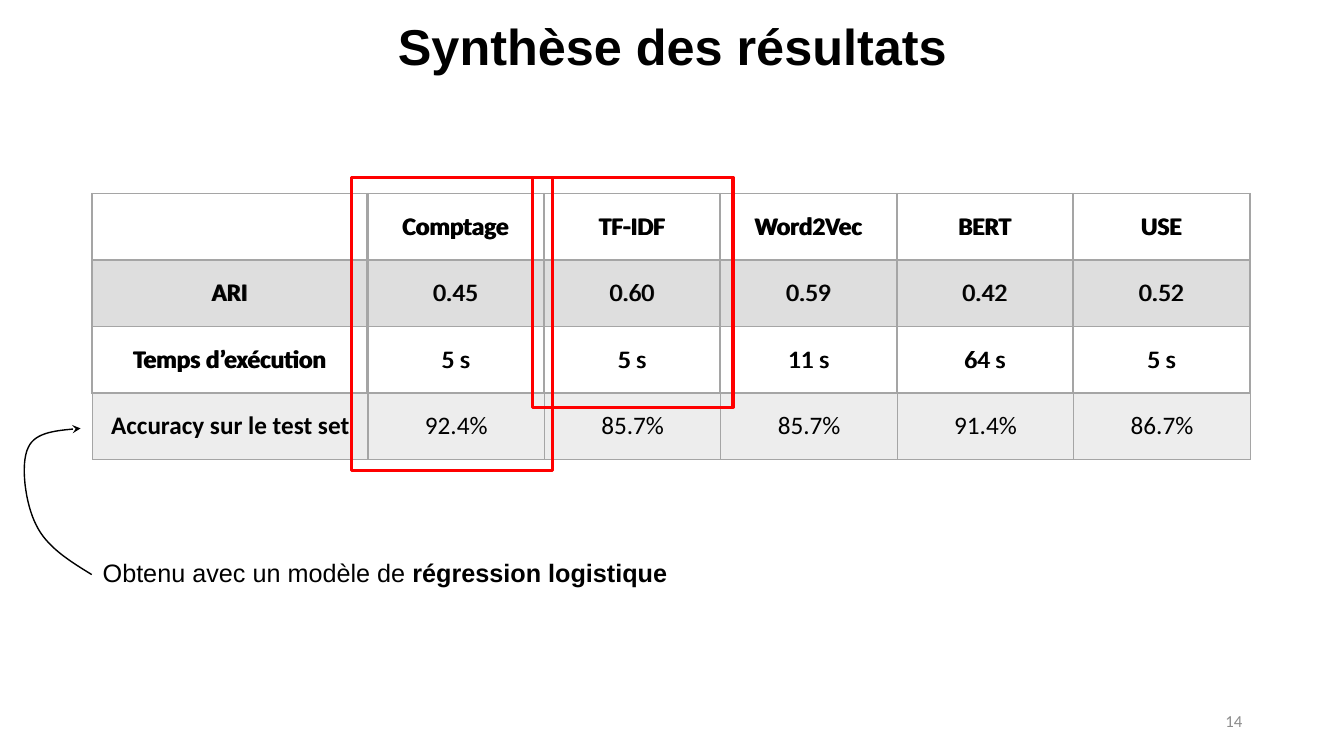
from dataclasses import dataclass

from lxml.etree import SubElement
from pptx import Presentation
from pptx.dml.color import RGBColor
from pptx.enum.shapes import MSO_SHAPE as Shape
from pptx.enum.text import MSO_ANCHOR as Anchor, PP_ALIGN as Align
from pptx.oxml.ns import qn
from pptx.util import Inches, Pt


@dataclass(frozen=True)
class Theme:
    ink: str = "000000"
    grid: str = "A5A5A5"
    accent: str = "FF0000"
    muted: str = "8C8C8C"
    heading_font: str = "Arial"
    table_font: str = "Calibri"
    title: int = 36
    body: int = 18
    small: int = 12


THEME = Theme()
RESULTS = [
    ["", "Comptage", "TF-IDF", "Word2Vec", "BERT", "USE"],
    ["ARI", "0.45", "0.60", "0.59", "0.42", "0.52"],
    ["Temps d’exécution", "5 s", "5 s", "11 s", "64 s", "5 s"],
    ["Accuracy sur le test set", "92.4%", "85.7%", "85.7%", "91.4%", "86.7%"],
]
COL_WIDTHS = [2.73] + [1.75] * 5
ROW_HEIGHT = 0.66
# Start point, then control, control, end for each curve
ARROW = [(0.91, 5.7), (0.68, 5.56), (0.46, 5.42), (0.36, 5.21),
         (0.25, 5), (0.2, 4.6), (0.28, 4.44),
         (0.35, 4.28), (0.58, 4.27), (0.8, 4.25)]


def set_font(p, size, name, color=THEME.ink, bold=None):
    p.font.size, p.font.name, p.font.bold = Pt(size), name, bold
    p.font.color.rgb = RGBColor.from_string(color)


def add_text(s, box, runs, size, name, color=THEME.ink, bold=None,
             align=Align.LEFT, anchor=Anchor.TOP, wrap=True, spacing=None):
    """Add one paragraph of (text, bold) runs."""
    tf = s.shapes.add_textbox(*map(Inches, box)).text_frame
    tf.word_wrap, tf.vertical_anchor = wrap, anchor
    p = tf.paragraphs[0]
    p.alignment, p.line_spacing = align, spacing
    set_font(p, size, name, color, bold)
    for text, run_bold in runs:
        r = p.add_run()
        r.text, r.font.bold = text, run_bold


def set_borders(cell, top, bottom):
    tc_pr = cell._tc.get_or_add_tcPr()
    for side, width in (("L", 1), ("R", 1), ("T", top), ("B", bottom)):
        ln = SubElement(tc_pr, qn(f"a:ln{side}"), w=str(Pt(width)))
        fill = SubElement(ln, qn("a:solidFill"))
        SubElement(fill, qn("a:srgbClr"), val=THEME.grid)


def fill_band(cell):
    cell.fill.solid()
    cell.fill.fore_color.rgb = RGBColor.from_string(THEME.grid)
    color = cell._tc.tcPr.find(f"{qn('a:solidFill')}/{qn('a:srgbClr')}")
    SubElement(color, qn("a:alpha"), val="20000")


def add_results(s, left, top, rows):
    frame = s.shapes.add_table(
        len(rows), len(COL_WIDTHS), Inches(left), Inches(top),
        Inches(sum(COL_WIDTHS)), Inches(ROW_HEIGHT * len(rows)))
    table = frame.table
    table.first_row = table.horz_banding = False
    for column, width in zip(table.columns, COL_WIDTHS):
        column.width = Inches(width)
    for i, values in enumerate(rows):
        table.rows[i].height = Inches(ROW_HEIGHT)
        for j, value in enumerate(values):
            cell = table.cell(i, j)
            cell.text, cell.vertical_anchor = value, Anchor.MIDDLE
            p = cell.text_frame.paragraphs[0]
            p.alignment = Align.CENTER
            set_font(p, THEME.body, THEME.table_font, bold=i == 0 or j == 0)
            set_borders(cell, 2 if i == 1 else 1, 2 if i == 0 else 1)
            if i % 2:
                fill_band(cell)
            else:
                cell.fill.background()


def style_outline(sp, color, width):
    sp.shadow.inherit = False
    sp.fill.background()
    sp.line.color.rgb = RGBColor.from_string(color)
    sp.line.width = Pt(width)


def add_highlight(s, left, top, width, height):
    sp = s.shapes.add_shape(
        Shape.RECTANGLE, *map(Inches, (left, top, width, height)))
    style_outline(sp, THEME.accent, 2.25)


def curve_points(points, steps=16):
    """Sample a chain of cubic curves."""
    for k in range(0, len(points) - 1, 3):
        for n in range(1, steps + 1):
            t = n / steps
            weights = ((1 - t) ** 3, 3 * t * (1 - t) ** 2,
                       3 * t * t * (1 - t), t ** 3)
            yield tuple(Inches(sum(w * v for w, v in zip(weights, axis)))
                        for axis in zip(*points[k:k + 4]))


def add_curved_arrow(s, points):
    start_x, start_y = map(Inches, points[0])
    builder = s.shapes.build_freeform(start_x, start_y)
    builder.add_line_segments(curve_points(points), close=False)
    sp = builder.convert_to_shape()
    style_outline(sp, THEME.ink, 1)
    SubElement(sp.line._get_or_add_ln(), qn("a:tailEnd"), type="stealth")


def main():
    prs = Presentation()
    prs.slide_width, prs.slide_height = Inches(13.33), Inches(7.5)
    s = prs.slides.add_slide(prs.slide_layouts[6])

    # Title
    add_text(s, (0.92, 0, 11.5, 0.98), [("Synthèse des résultats", None)],
             THEME.title, THEME.heading_font, bold=True,
             align=Align.CENTER, anchor=Anchor.MIDDLE, spacing=0.9)

    # Full results and the note on accuracy
    add_results(s, 0.92, 1.92, RESULTS)
    add_text(s, (0.92, 5.48, 5.85, 0.4),
             [("Obtenu avec un modèle de ", None),
              ("régression logistique", True)],
             THEME.body, THEME.heading_font, wrap=False)
    add_curved_arrow(s, ARROW)

    # Slide number
    add_text(s, (9.42, 6.95, 3, 0.4), [("14", None)], THEME.small,
             THEME.table_font, THEME.muted,
             align=Align.RIGHT, anchor=Anchor.MIDDLE)

    # Clustering results on top, then the best methods
    add_results(s, 0.91, 1.92, RESULTS[:3])
    add_highlight(s, 5.28, 1.76, 1.99, 2.28)
    add_highlight(s, 3.49, 1.76, 1.99, 2.91)

    prs.save("out.pptx")


if __name__ == "__main__":
    main()
